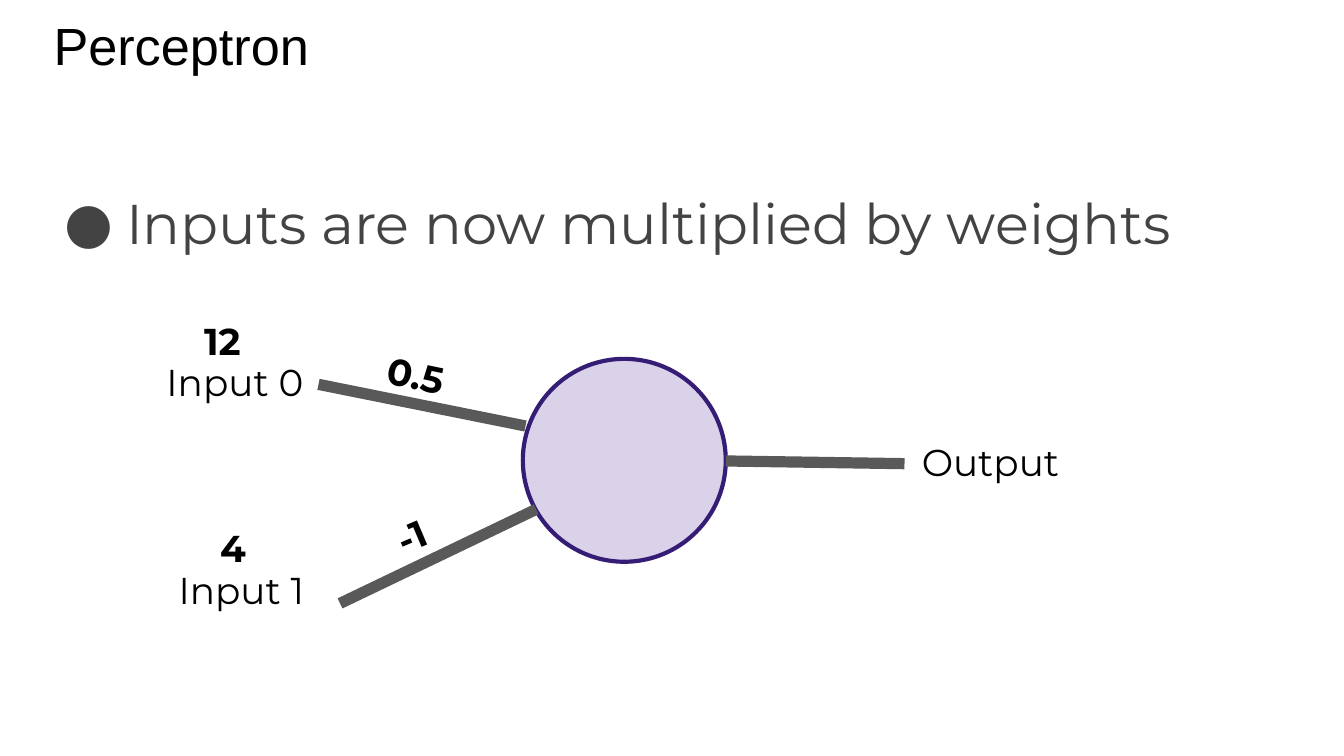
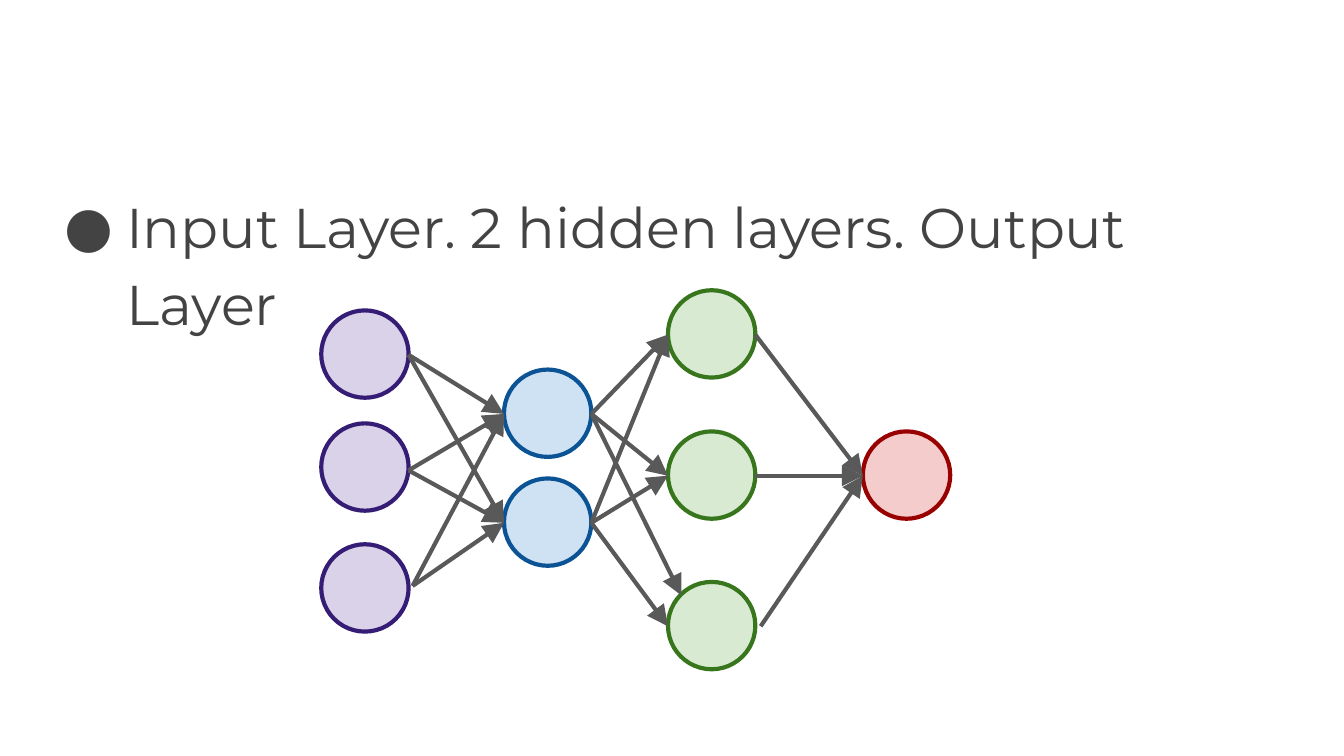
from itertools import pairwise, product

from lxml.etree import SubElement
from pptx import Presentation
from pptx.dml.color import RGBColor
from pptx.enum.shapes import MSO_CONNECTOR, MSO_SHAPE
from pptx.oxml.ns import qn
from pptx.util import Pt

PX = 9144  # 100 px to the inch
COLORS = {
    "text": "000000", "body": "434343", "edge": "595959",
    "purple": "D9D2E9", "purple_line": "351C75",
    "blue": "CFE2F3", "blue_line": "0B5394",
    "green": "D9EAD3", "green_line": "38761D",
    "red": "F4CCCC", "red_line": "990000",
}
rgb = {name: RGBColor.from_string(value) for name, value in COLORS.items()}

# Widescreen, 16 to 9
prs = Presentation()
prs.slide_width = 1000 * PX
prs.slide_height = prs.slide_width * 9 // 16
blank = prs.slide_layouts[6]


def add_text(slide, text, left, top, width, height, size=20,
             font="Montserrat", color="text", bold=False, angle=0):
    box = slide.shapes.add_textbox(left * PX, top * PX, width * PX, height * PX)
    box.rotation = angle
    frame = box.text_frame
    frame.word_wrap = True
    frame.margin_left = frame.margin_right = 10 * PX
    frame.margin_top = frame.margin_bottom = 10 * PX
    frame.text = text
    paragraph = frame.paragraphs[0]
    run_font = paragraph.runs[0].font
    run_font.name, run_font.size, run_font.bold = font, Pt(size), bold
    run_font.color.rgb = rgb[color]
    return paragraph


def add_edge(slide, start, end, weight, arrow=False):
    x1, y1, x2, y2 = (value * PX for value in (*start, *end))
    edge = slide.shapes.add_connector(MSO_CONNECTOR.STRAIGHT, x1, y1, x2, y2)
    edge.line.color.rgb = rgb["edge"]
    edge.line.width = Pt(weight)
    if arrow:
        SubElement(edge.line._get_or_add_ln(), qn("a:tailEnd"),
                   type="triangle", w="lg", len="lg")
    SubElement(edge._element.spPr, qn("a:effectLst"))


# Both slides: one bullet line and the neurons
PERCEPTRON, NEURON = 151, 65
layers = [
    ("purple", 239, [231, 315, 405]),
    ("blue", 375, [275, 356]),
    ("green", 497, [216, 321, 433]),
    ("red", 642, [321]),
]
contents = [
    ("Inputs are now multiplied by weights", 123, PERCEPTRON, [("purple", 389, [267])]),
    ("Input Layer. 2 hidden layers. Output Layer", 126, NEURON, layers),
]
slides = []
for statement, body_top, diameter, columns in contents:
    slide = prs.slides.add_slide(blank)
    slides.append(slide)
    bullet = add_text(slide, statement, 34, body_top, 932, 374, 30, color="body")
    props = bullet._p.get_or_add_pPr()
    props.set("marL", str(50 * PX))
    props.set("indent", str(-46 * PX))
    bullet_color = SubElement(props, qn("a:buClr"))
    SubElement(bullet_color, qn("a:srgbClr"), val=COLORS["body"])
    SubElement(props, qn("a:buFont"), typeface="Montserrat")
    SubElement(props, qn("a:buChar"), char="●")
    bullet.line_spacing = 1.15
    bullet.space_after = Pt(16)

    for color, left, tops in columns:
        for top in tops:
            neuron = slide.shapes.add_shape(
                MSO_SHAPE.OVAL, left * PX, top * PX, diameter * PX, diameter * PX)
            neuron.shadow.inherit = False
            neuron.fill.solid()
            neuron.fill.fore_color.rgb = rgb[color]
            neuron.line.color.rgb = rgb[color + "_line"]
            neuron.line.width = Pt(2.25)

perceptron, network = slides

# Perceptron: inputs, weights and output
for start, end in [((391, 317), (237, 286)), ((399, 379), (253, 449)),
                   ((673, 345), (540, 343))]:
    add_edge(perceptron, start, end, 6)
for label, left, top in [("Input 0", 114, 257), ("Input 1", 123, 412),
                         ("Output", 676, 317)]:
    add_text(perceptron, label, left, top, 228, 67)
for number, left, top, width, angle in [
        ("0.5", 276, 261, 151, 11.8), ("-1", 284, 350, 151, 337),
        ("12", 142, 227, 48, 0), ("4", 154, 381, 48, 0)]:
    add_text(perceptron, number, left, top, width, 67, bold=True, angle=angle)
add_text(perceptron, "Perceptron", 30, 0, 932, 63, 28, font="Arial")

# Network: every neuron feeds every neuron of the next layer
outlets = {(239, 315): (304, 350), (239, 405): (307, 436), (497, 433): (566, 466)}
inlets = {(375, 275, 497, 433): (507, 443)}
for (_, left, tops), (_, next_left, next_tops) in pairwise(layers):
    for top, next_top in product(tops, next_tops):
        start = outlets.get((left, top), (left + NEURON, top + NEURON // 2 + 1))
        end = inlets.get((left, top, next_left, next_top),
                         (next_left, next_top + NEURON // 2 + 1))
        add_edge(network, start, end, 2.25, arrow=True)

prs.save("out.pptx")
